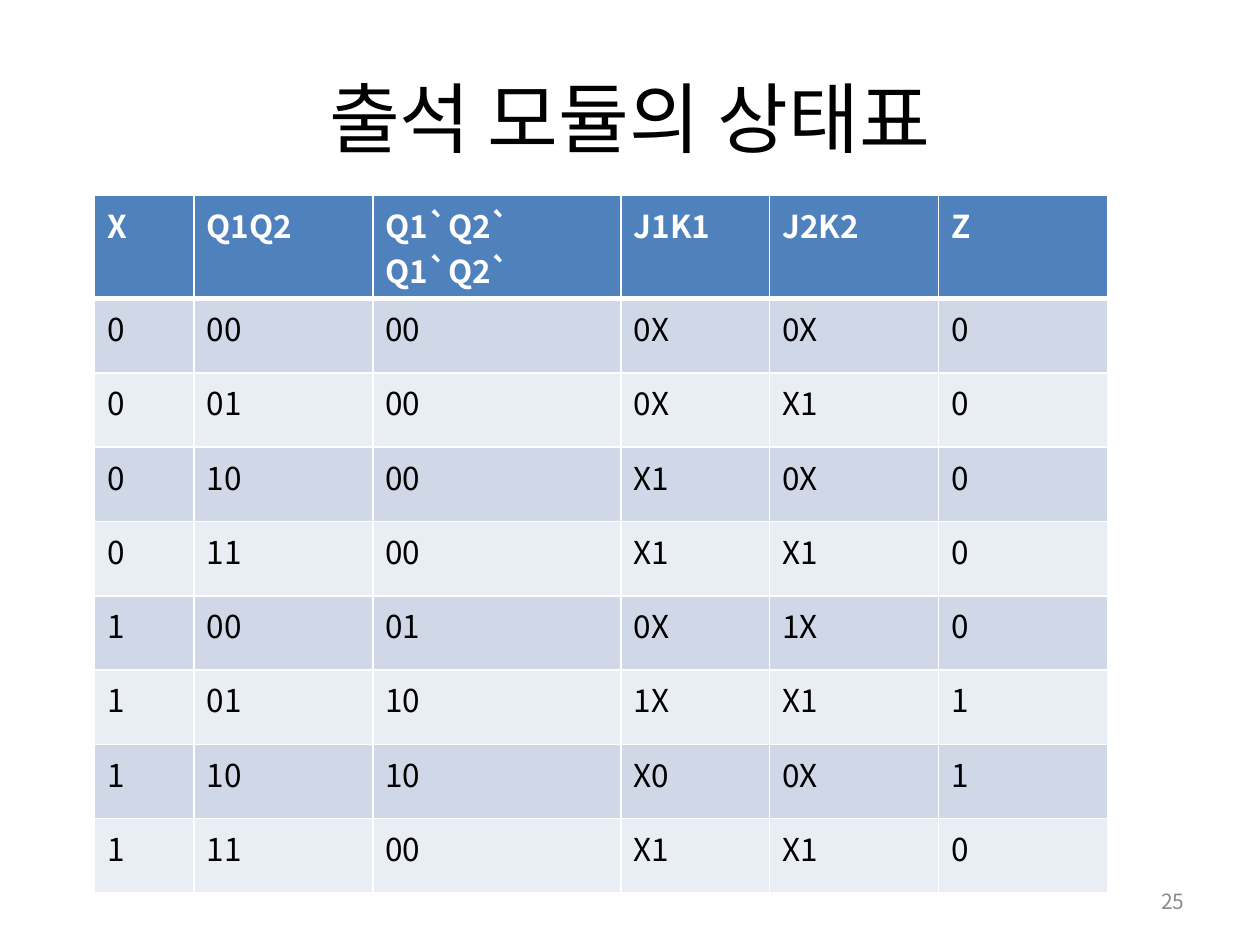
from dataclasses import dataclass

from lxml.etree import SubElement
from pptx import Presentation
from pptx.dml.color import RGBColor
from pptx.enum.text import MSO_ANCHOR as Anchor, PP_ALIGN as Align
from pptx.oxml.ns import qn
from pptx.util import Inches, Pt


@dataclass(frozen=True)
class Theme:
    font: str = "Noto Sans CJK KR"
    text: str = "000000"
    light: str = "FFFFFF"
    muted: str = "8C8C8C"
    header: str = "4F81BD"
    bands: tuple = ("D0D8E8", "E9EDF4")
    title_size: int = 44
    table_size: int = 18
    number_size: int = 12
    grid_width: int = 1
    header_rule: int = 3


THEME = Theme()
COLUMN_WIDTHS = (0.79, 1.42, 1.97, 1.18, 1.34, 1.34)
HEADER_HEIGHT, ROW_HEIGHT = 0.82, 0.59
STATE_TABLE = (
    ("X", "Q1Q2", "Q1`Q2` Q1`Q2`", "J1K1", "J2K2", "Z"),
    ("0", "00", "00", "0X", "0X", "0"),
    ("0", "01", "00", "0X", "X1", "0"),
    ("0", "10", "00", "X1", "0X", "0"),
    ("0", "11", "00", "X1", "X1", "0"),
    ("1", "00", "01", "0X", "1X", "0"),
    ("1", "01", "10", "1X", "X1", "1"),
    ("1", "10", "10", "X0", "0X", "1"),
    ("1", "11", "00", "X1", "X1", "0"),
)


def write_text(frame, text, size, color=THEME.text, bold=False,
               align=Align.LEFT, anchor=Anchor.TOP):
    frame.word_wrap = True
    frame.vertical_anchor = anchor
    paragraph = frame.paragraphs[0]
    paragraph.alignment = align
    run = paragraph.add_run()
    run.text = text
    run.font.size = Pt(size)
    run.font.bold = bold
    run.font.name = THEME.font
    run.font.color.rgb = RGBColor.from_string(color)
    SubElement(run.font._element, qn("a:ea"), typeface=THEME.font)


def set_borders(cell, top, bottom):
    """Draw light borders; these must precede the fill in the cell XML."""
    properties = cell._tc.get_or_add_tcPr()
    widths = {"L": THEME.grid_width, "R": THEME.grid_width, "T": top, "B": bottom}
    for side, width in widths.items():
        line = SubElement(properties, qn(f"a:ln{side}"), w=str(Pt(width)))
        fill = SubElement(line, qn("a:solidFill"))
        SubElement(fill, qn("a:srgbClr"), val=THEME.light)


def add_title(slide, text):
    title = slide.shapes.title
    title.left, title.top = Inches(0.5), Inches(0.3)
    title.width, title.height = Inches(9), Inches(1.25)
    write_text(title.text_frame, text, THEME.title_size,
               align=Align.CENTER, anchor=Anchor.MIDDLE)


def add_state_table(slide):
    shape = slide.shapes.add_table(
        len(STATE_TABLE), len(COLUMN_WIDTHS), Inches(0.75), Inches(1.55),
        Inches(sum(COLUMN_WIDTHS)),
        Inches(HEADER_HEIGHT + ROW_HEIGHT * (len(STATE_TABLE) - 1)))
    table = shape.table
    for column, width in zip(table.columns, COLUMN_WIDTHS):
        column.width = Inches(width)
    for index, values in enumerate(STATE_TABLE):
        is_header = index == 0
        table.rows[index].height = Inches(HEADER_HEIGHT if is_header else ROW_HEIGHT)
        background = THEME.header if is_header else THEME.bands[(index - 1) % 2]
        top = THEME.header_rule if index == 1 else THEME.grid_width
        bottom = THEME.header_rule if is_header else THEME.grid_width
        for cell, value in zip(table.rows[index].cells, values):
            set_borders(cell, top, bottom)
            cell.fill.solid()
            cell.fill.fore_color.rgb = RGBColor.from_string(background)
            write_text(cell.text_frame, value, THEME.table_size,
                       color=THEME.light if is_header else THEME.text,
                       bold=is_header)


def add_page_number(slide, number):
    box = slide.shapes.add_textbox(Inches(7.17), Inches(6.95), Inches(2.33), Inches(0.4))
    write_text(box.text_frame, number, THEME.number_size, color=THEME.muted,
               align=Align.RIGHT, anchor=Anchor.MIDDLE)


def main():
    presentation = Presentation()
    presentation.slide_width, presentation.slide_height = Inches(10), Inches(7.5)
    title_only = presentation.slide_layouts[5]
    slide = presentation.slides.add_slide(title_only)
    add_title(slide, "출석 모듈의 상태표")
    add_page_number(slide, "25")
    add_state_table(slide)
    presentation.save("out.pptx")


if __name__ == "__main__":
    main()
